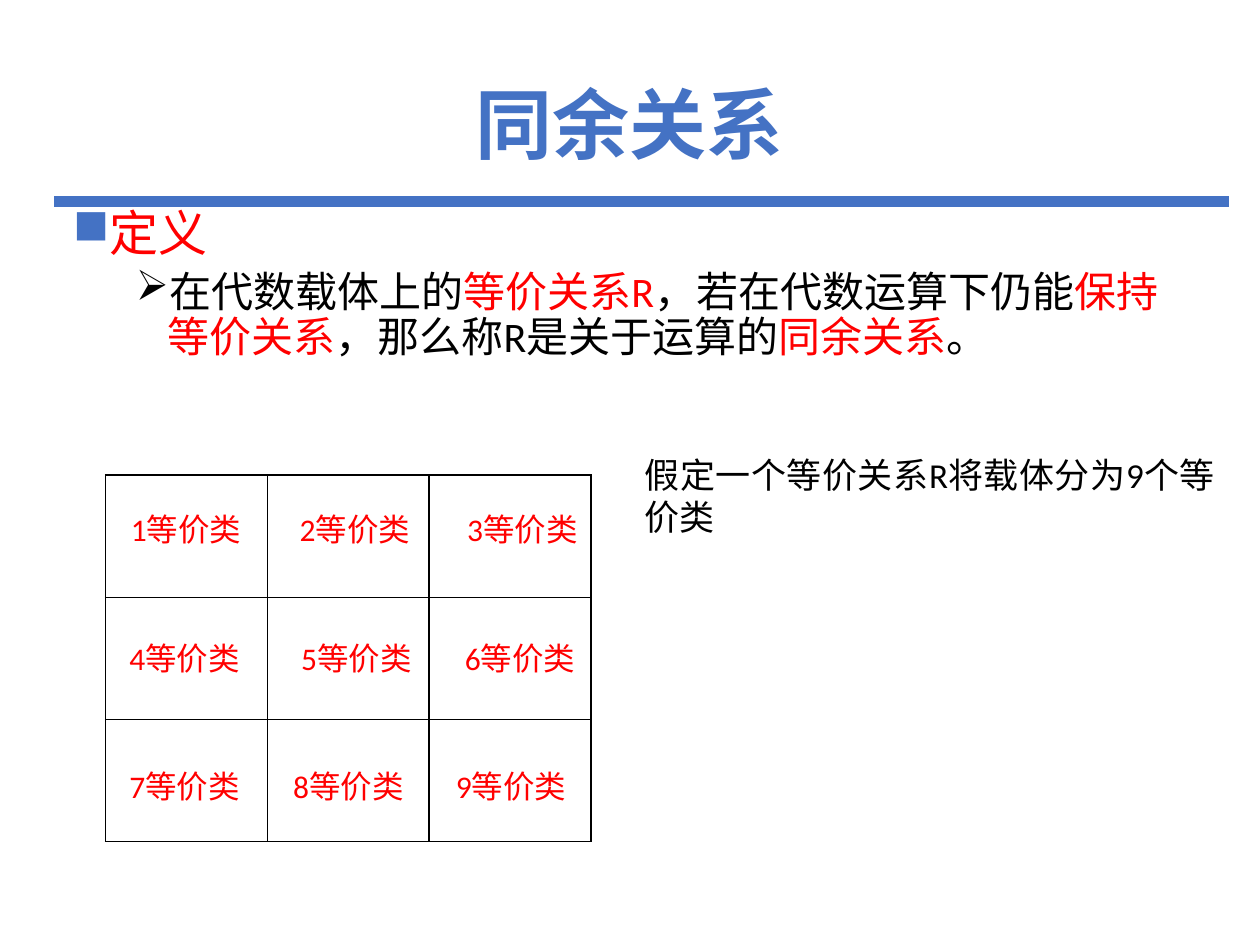
import pptx
import pptx.util
import pptx.dml.color
import pptx.enum.shapes
import pptx.enum.text
import pptx.oxml.ns
import lxml.etree

Cm = pptx.util.Cm
Pt = pptx.util.Pt
qn = pptx.oxml.ns.qn
ALIGN = pptx.enum.text.PP_ALIGN
COLOURS = {"blue": "4472C4", "red": "FF0000", "black": "000000"}
CJK_FONT = "Noto Sans CJK SC"


def add_box(left, top, width, height):
    box = page.shapes.add_textbox(Cm(left), Cm(top), Cm(width), Cm(height))
    box.text_frame.word_wrap = True
    return box.text_frame


def add_span(para, text, size, colour, font="Calibri"):
    span = para.add_run()
    span.text = text
    span.font.size = Pt(size)
    span.font.name = font
    span.font.color.rgb = pptx.dml.color.RGBColor.from_string(COLOURS[colour])
    latin = span.font._element.find(qn("a:latin"))
    latin.addnext(latin.makeelement(qn("a:ea"), {"typeface": CJK_FONT}))
    return span


deck = pptx.Presentation()
deck.slide_width, deck.slide_height = Cm(25.4), Cm(19.05)
page = deck.slides.add_slide(deck.slide_layouts[6])

# Rule under the title
rule = page.shapes.add_connector(
    pptx.enum.shapes.MSO_CONNECTOR.STRAIGHT, Cm(1.09), Cm(4.06), Cm(24.77), Cm(4.06))
rule.line.color.rgb = pptx.dml.color.RGBColor.from_string(COLOURS["blue"])
rule.line.width = Pt(6)
lxml.etree.SubElement(rule._element.spPr, qn("a:effectLst"))

# Title
title = add_box(1.75, 1.02, 21.9, 3.15)
title.vertical_anchor = pptx.enum.text.MSO_ANCHOR.MIDDLE
para = title.paragraphs[0]
para.alignment = ALIGN.CENTER
para.line_spacing = 0.9
add_span(para, "同余关系", 44, "blue", CJK_FONT).font.bold = True

# Definition: level, left margin, bullet, bullet colour, text size, spans
definition = [
    (0, 0.64, "■", "blue", 28, [("定义", "red")]),
    (1, 1.91, "➢", "black", 24, [
        ("在代数载体上的", "black"), ("等价关系R", "red"),
        ("，若在代数运算下仍能", "black"), ("保持等价关系", "red"),
        ("，那么称R是关于运算的", "black"), ("同余关系", "red"), ("。", "black")]),
]
body = add_box(1.22, 4.09, 22.86, 4.19)
for level, margin, bullet, bullet_colour, size, spans in definition:
    para = body.add_paragraph() if level else body.paragraphs[0]
    props = para._p.get_or_add_pPr()
    props.set("marL", str(Cm(margin)))
    props.set("indent", str(-Cm(0.64)))
    fill = lxml.etree.SubElement(props, qn("a:buClr"))
    lxml.etree.SubElement(fill, qn("a:srgbClr"), val=COLOURS[bullet_colour])
    lxml.etree.SubElement(props, qn("a:buChar"), char=bullet)
    para.level = level
    para.line_spacing = 0.9
    if level:
        para.space_before = Pt(5)
    for text, colour in spans:
        add_span(para, text, size, colour)

# Grid of nine classes
grid = page.shapes.add_table(3, 3, Cm(2.13), Cm(9.58), Cm(9.78), Cm(7.38)).table
grid.first_row = grid.horz_banding = False
for column in grid.columns:
    column.width = Cm(3.26)
for row in grid.rows:
    row.height = Cm(2.46)
for cell in grid.iter_cells():
    props = cell._tc.get_or_add_tcPr()
    for side in ("lnL", "lnR", "lnT", "lnB"):
        border = lxml.etree.SubElement(props, qn("a:" + side), w=str(Pt(1)))
        fill = lxml.etree.SubElement(border, qn("a:solidFill"))
        lxml.etree.SubElement(fill, qn("a:srgbClr"), val=COLOURS["black"])
    cell.fill.background()

# Labels over the grid, placed by hand within each row
label_lefts = [(2.39, 5.79, 9.17), (2.36, 5.82, 9.12), (2.36, 5.66, 8.94)]
for row, lefts in enumerate(label_lefts):
    for column, left in enumerate(lefts):
        label = add_box(left, 10.16 + 2.59 * row, 3.15, 1.02)
        add_span(label.paragraphs[0], f"{3 * row + column + 1}等价类", 18, "red")

# Remark beside the grid
remark = add_box(12.75, 9.02, 11.99, 1.96)
remark.paragraphs[0].alignment = ALIGN.JUSTIFY
add_span(remark.paragraphs[0], "假定一个等价关系R将载体分为9个等价类", 20, "black")

deck.save("out.pptx")
